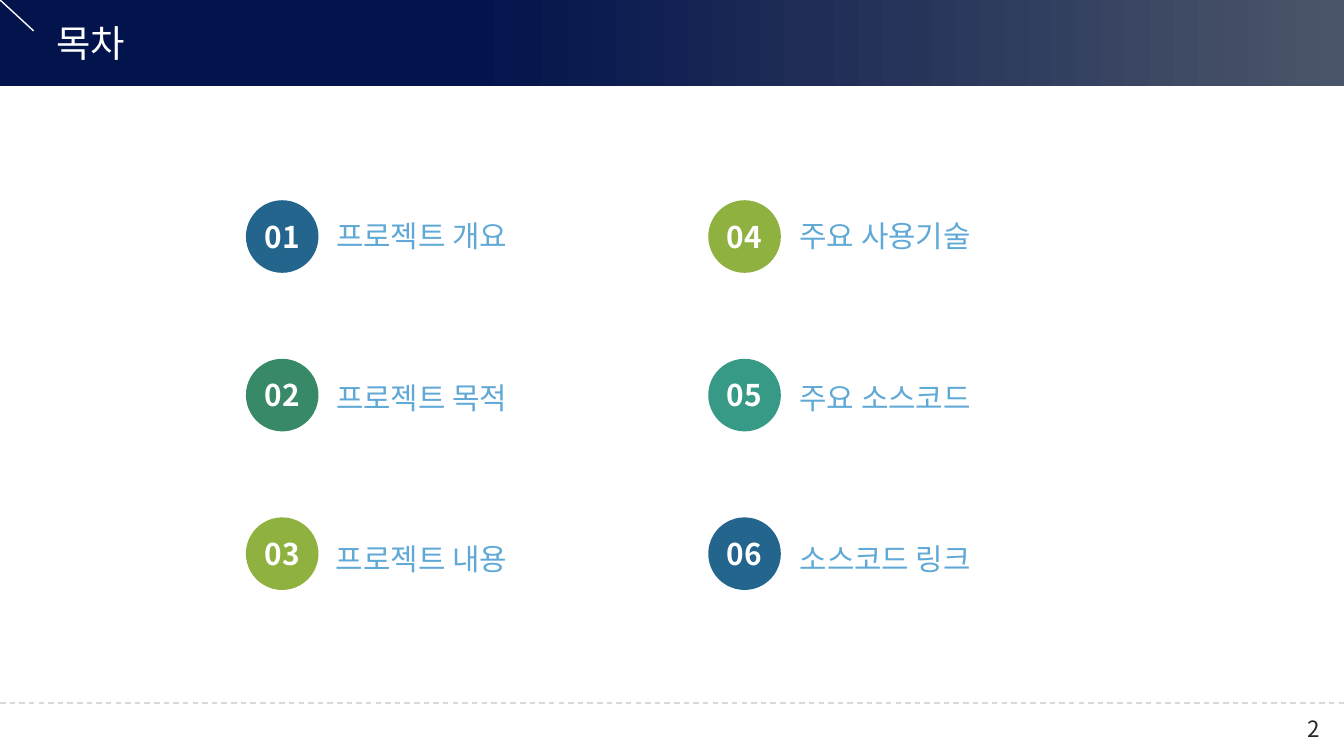
from typing import NamedTuple

from lxml import etree
from pptx import Presentation
from pptx.dml.color import RGBColor
from pptx.enum.dml import MSO_LINE
from pptx.enum.shapes import MSO_CONNECTOR, MSO_SHAPE
from pptx.enum.text import MSO_ANCHOR, MSO_AUTO_SIZE, PP_ALIGN
from pptx.oxml.ns import qn
from pptx.util import Inches, Pt

FONT = "Noto Sans CJK KR"
COLORS = {
    "navy": "03134C", "slate": "4B5569", "white": "FFFFFF", "rule": "D9D9D9",
    "blue": "24658D", "green": "388968", "lime": "8FB140", "teal": "379A86",
    "label": "60A9D6", "page": "262626",
}
NO_INSETS = {"margin_left": 0, "margin_top": 0, "margin_right": 0, "margin_bottom": 0}
MIDDLE = {**NO_INSETS, "vertical_anchor": MSO_ANCHOR.MIDDLE}
GROW = {"auto_size": MSO_AUTO_SIZE.SHAPE_TO_FIT_TEXT}

SLIDE_WIDTH = 10
SLIDE_HEIGHT = SLIDE_WIDTH * 9 / 16
BADGE_SIZE = 0.54
BADGE_TOP, BADGE_PITCH = 1.49, 1.18
LABEL_TOP, LABEL_PITCH = 1.62, 1.2
BADGE_LEFTS = (1.83, 5.27)
LABEL_LEFTS = (2.5, 5.95)
ROWS = 3


class Topic(NamedTuple):
    title: str
    color: str
    width: float


TOPICS = [
    Topic("프로젝트 개요", "blue", 2.09),
    Topic("프로젝트 목적", "green", 1.58),
    Topic("프로젝트 내용", "lime", 1.66),
    Topic("주요 사용기술", "lime", 2.16),
    Topic("주요 소스코드", "teal", 1.74),
    Topic("소스코드 링크", "blue", 1.42),
]


def rgb(name: str) -> RGBColor:
    return RGBColor.from_string(COLORS[name])


def write(shape, text: str, size: float, color: str, frame_format: dict,
          bold: bool = False, **paragraph_format) -> None:
    frame = shape.text_frame
    for key, value in {"word_wrap": True, **frame_format}.items():
        setattr(frame, key, value)
    paragraph = frame.paragraphs[0]
    for key, value in paragraph_format.items():
        setattr(paragraph, key, value)
    run = paragraph.add_run()
    run.text = text
    for key, value in {"size": Pt(size), "name": FONT, "bold": bold}.items():
        setattr(run.font, key, value)
    run.font.color.rgb = rgb(color)
    # Hangul glyphs take the East Asian typeface
    latin = run.font._element.find(qn("a:latin"))
    east_asian = etree.Element(qn("a:ea"), typeface=FONT)
    latin.addnext(east_asian)


def add_text(slide, box: tuple, *args, **formats) -> None:
    write(slide.shapes.add_textbox(*map(Inches, box)), *args, **formats)


def add_line(slide, points: tuple, color: str, dash=None) -> None:
    line = slide.shapes.add_connector(MSO_CONNECTOR.STRAIGHT, *map(Inches, points))
    line.line.color.rgb = rgb(color)
    line.line.width = Pt(0.75)
    if dash:
        line.line.dash_style = dash
    etree.SubElement(line._element.spPr, qn("a:effectLst"))


def add_plain_shape(slide, kind: MSO_SHAPE, box: tuple):
    shape = slide.shapes.add_shape(kind, *map(Inches, box))
    shape.shadow.inherit = False
    shape.line.fill.background()
    return shape


def add_header(slide) -> None:
    band = add_plain_shape(slide, MSO_SHAPE.RECTANGLE, (-0.01, 0, 10.01, 0.64))
    band.fill.gradient()
    band.fill.gradient_angle = 0
    for stop, (position, color) in zip(band.fill.gradient_stops,
                                       ((0.35, "navy"), (1, "slate"))):
        stop.position = position
        stop.color.rgb = rgb(color)
    add_text(slide, (0.42, 0.15, 4.42, 0.34), "목차", 20, "white", {**NO_INSETS, **GROW})
    add_line(slide, (-0.01, -0.01, 0.25, 0.23), "white")


def add_topic(slide, index: int, topic: Topic) -> None:
    """Place a numbered badge and its label, filling the columns downwards."""
    column, row = divmod(index, ROWS)
    badge = add_plain_shape(slide, MSO_SHAPE.OVAL,
                            (BADGE_LEFTS[column], BADGE_TOP + row * BADGE_PITCH,
                             BADGE_SIZE, BADGE_SIZE))
    badge.fill.solid()
    badge.fill.fore_color.rgb = rgb(topic.color)
    write(badge, f"{index + 1:02d}", 16, "white", MIDDLE, bold=True,
          alignment=PP_ALIGN.CENTER)
    add_text(slide, (LABEL_LEFTS[column], LABEL_TOP + row * LABEL_PITCH, topic.width, 0.27),
             topic.title, 16, "label", {**MIDDLE, **GROW}, space_after=Pt(10))


def main() -> None:
    deck = Presentation()
    deck.slide_width, deck.slide_height = Inches(SLIDE_WIDTH), Inches(SLIDE_HEIGHT)
    slide = deck.slides.add_slide(deck.slide_layouts[6])
    add_line(slide, (0, 5.23, SLIDE_WIDTH, 5.23), "rule", MSO_LINE.DASH)
    add_header(slide)
    for index, topic in enumerate(TOPICS):
        add_topic(slide, index, topic)
    add_text(slide, (7.67, 5.27, 2.25, 0.3), "2", 12, "page", {}, alignment=PP_ALIGN.RIGHT)
    deck.save("out.pptx")


if __name__ == "__main__":
    main()
